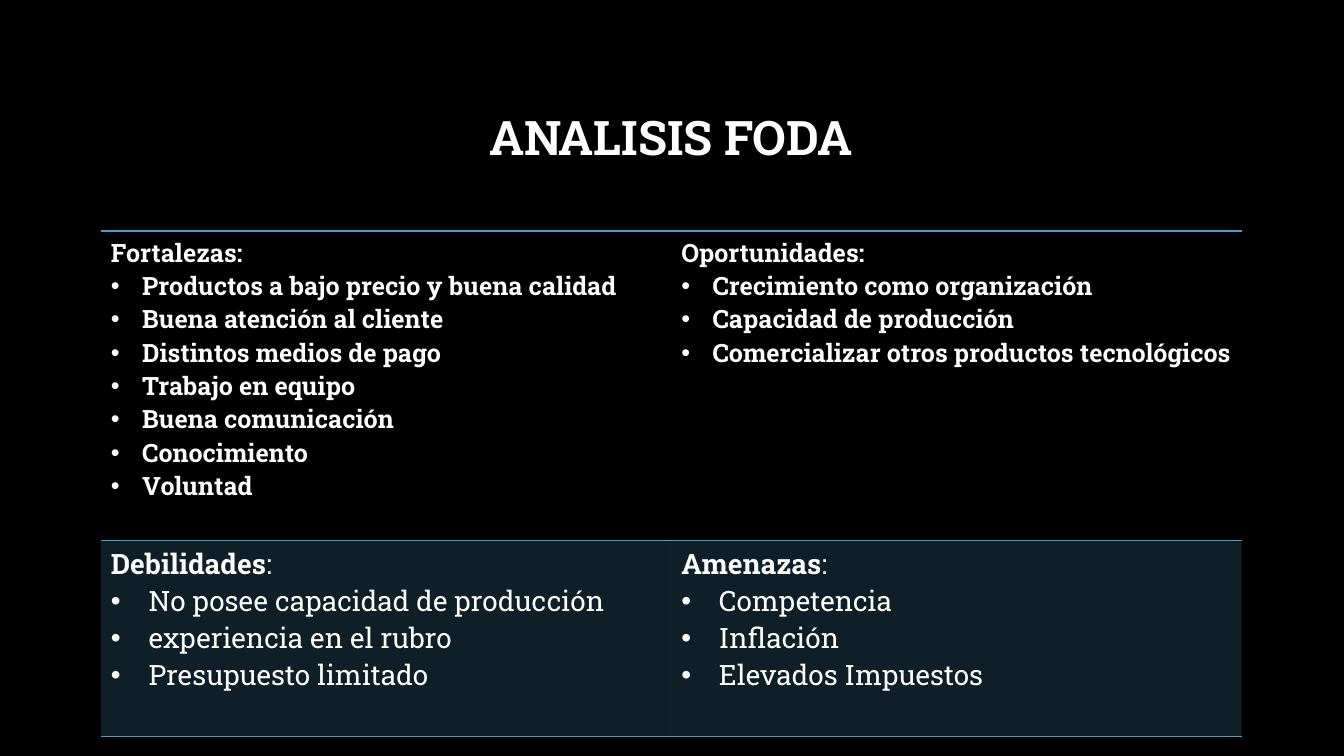
from lxml import etree
from pptx import Presentation
from pptx.dml.color import RGBColor
from pptx.enum.text import MSO_ANCHOR, PP_ALIGN
from pptx.oxml.ns import qn
from pptx.util import Cm, Pt

TITLE = "ANALISIS FODA"
ROWS = [
    {
        "height": 7.8, "size": 18, "indent": 0.79, "bold_items": True, "shaded": False,
        "cells": [
            ("Fortalezas", [
                "Productos a bajo precio y buena calidad",
                "Buena atención al cliente",
                "Distintos medios de pago",
                "Trabajo en equipo",
                "Buena comunicación",
                "Conocimiento",
                "Voluntad",
            ]),
            ("Oportunidades", [
                "Crecimiento como organización",
                "Capacidad de producción",
                "Comercializar otros productos tecnológicos",
            ]),
        ],
    },
    {
        "height": 4.93, "size": 20, "indent": 0.95, "bold_items": False, "shaded": True,
        "cells": [
            ("Debilidades", [
                "No posee capacidad de producción",
                "experiencia en el rubro",
                "Presupuesto limitado",
            ]),
            ("Amenazas", ["Competencia", "Inflación", "Elevados Impuestos"]),
        ],
    },
]

FONT = "Roboto Slab"
BLACK = RGBColor(0x00, 0x00, 0x00)
WHITE = RGBColor(0xFF, 0xFF, 0xFF)
BLUE = RGBColor(0x4A, 0x9C, 0xCC)
CENTER = PP_ALIGN.CENTER
MIDDLE = MSO_ANCHOR.MIDDLE
LEFT, WIDTH = 2.54, 28.75
TITLE_TOP, TITLE_HEIGHT = 1.7, 3.68
TABLE_TOP = 5.82


def add_run(paragraph, text, size, bold):
    run = paragraph.add_run()
    run.text = text
    run.font.name = FONT
    run.font.size = Pt(size)
    run.font.bold = bold
    run.font.color.rgb = WHITE


def add_bullet(paragraph, indent):
    properties = paragraph._p.get_or_add_pPr()
    properties.set("marL", str(Cm(indent)))
    properties.set("indent", str(-Cm(indent)))
    etree.SubElement(properties, qn("a:buFont")).set("typeface", "Arial")
    etree.SubElement(properties, qn("a:buChar")).set("char", "•")


def set_borders(cell, visible):
    properties = cell._tc.get_or_add_tcPr()
    for position, side in enumerate(("lnL", "lnR", "lnT", "lnB")):
        line = etree.Element(qn(f"a:{side}"), w=str(Pt(1)))
        if side in visible:
            fill = etree.SubElement(line, qn("a:solidFill"))
            etree.SubElement(fill, qn("a:srgbClr")).set("val", str(BLUE))
        else:
            etree.SubElement(line, qn("a:noFill"))
        properties.insert(position, line)


def shade(cell):
    cell.fill.solid()
    cell.fill.fore_color.rgb = BLUE
    color = cell._tc.tcPr.find(qn("a:solidFill")).find(qn("a:srgbClr"))
    etree.SubElement(color, qn("a:alpha")).set("val", "20000")


def fill_cell(cell, heading, items, row):
    paragraph = cell.text_frame.paragraphs[0]
    add_run(paragraph, heading, row["size"], True)
    add_run(paragraph, ":", row["size"], row["bold_items"])
    for item in items:
        paragraph = cell.text_frame.add_paragraph()
        add_bullet(paragraph, row["indent"])
        add_run(paragraph, item, row["size"], row["bold_items"])
    if row["shaded"]:
        shade(cell)
    else:
        cell.fill.background()
    set_borders(cell, ("lnT", "lnB"))


def add_title(slide):
    title = slide.shapes.title
    title.left, title.top = Cm(LEFT), Cm(TITLE_TOP)
    title.width, title.height = Cm(WIDTH), Cm(TITLE_HEIGHT)
    title.text_frame.vertical_anchor = MIDDLE
    paragraph = title.text_frame.paragraphs[0]
    paragraph.alignment = CENTER
    paragraph.line_spacing = 0.9
    add_run(paragraph, TITLE, 34, True)


def add_foda_table(slide):
    columns = len(ROWS[0]["cells"])
    height = sum(row["height"] for row in ROWS)
    table = slide.shapes.add_table(
        len(ROWS), columns, Cm(LEFT), Cm(TABLE_TOP), Cm(WIDTH), Cm(height)
    ).table
    table.first_row = False
    table.horz_banding = False
    for column in table.columns:
        column.width = Cm(WIDTH / columns)
    for row_index, row in enumerate(ROWS):
        table.rows[row_index].height = Cm(row["height"])
        for column_index, (heading, items) in enumerate(row["cells"]):
            fill_cell(table.cell(row_index, column_index), heading, items, row)


def main():
    presentation = Presentation()
    presentation.slide_width = Cm(33.87)
    presentation.slide_height = Cm(19.05)
    slide = presentation.slides.add_slide(presentation.slide_layouts[5])
    slide.background.fill.solid()
    slide.background.fill.fore_color.rgb = BLACK
    add_title(slide)
    add_foda_table(slide)
    presentation.save("out.pptx")


if __name__ == "__main__":
    main()
